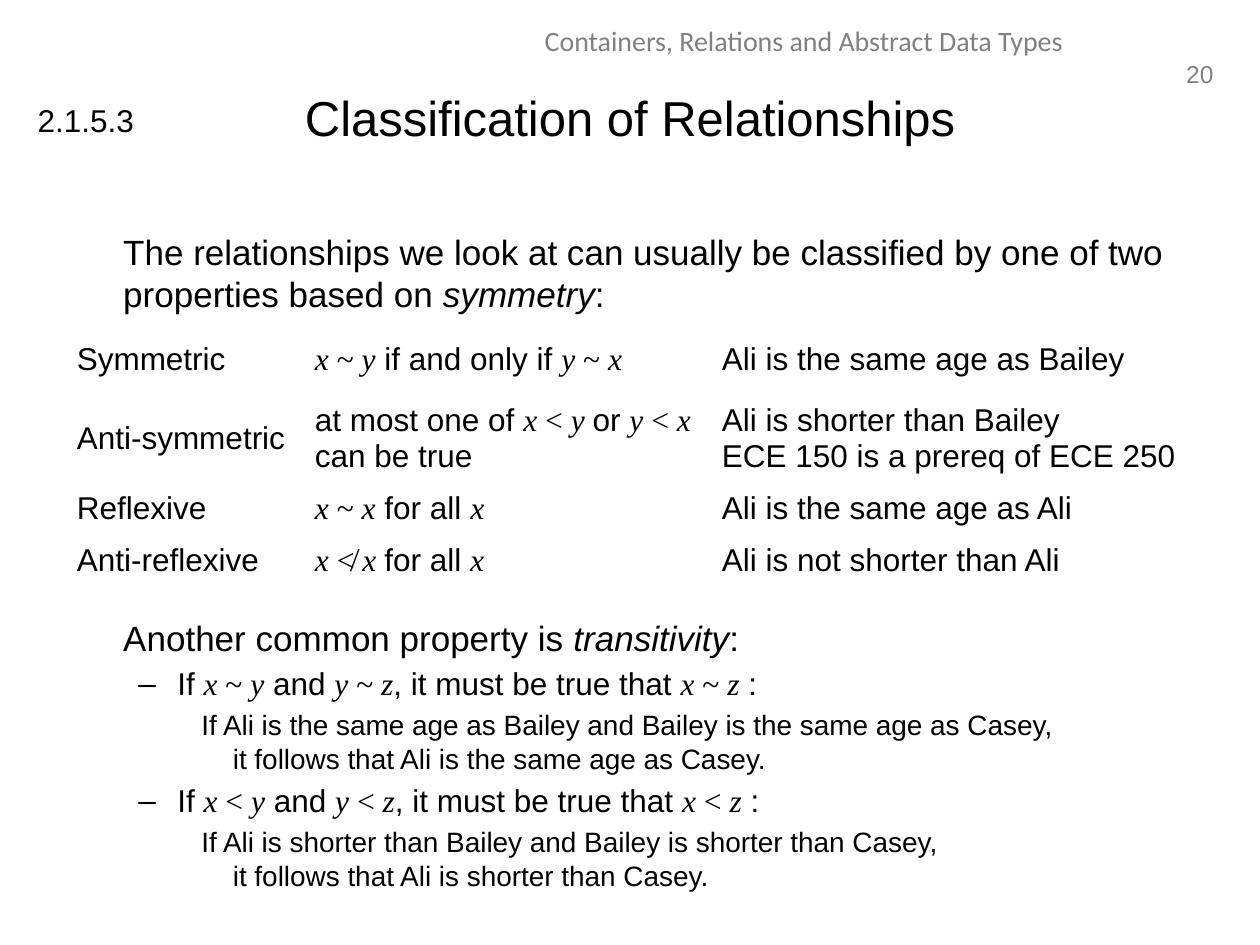
from dataclasses import dataclass
from itertools import groupby

from lxml.etree import SubElement
from pptx import Presentation
from pptx.dml.color import RGBColor
from pptx.enum.text import MSO_ANCHOR as Anchor, PP_ALIGN as Align
from pptx.oxml.ns import qn
from pptx.util import Inches, Pt

COLORS = {"text": "000000", "muted": "808080"}
BODY_FONT, MATH_FONT, HEADER_FONT = "Arial", "Times New Roman", "Calibri"


@dataclass
class Label:
    text: str
    left: float
    top: float
    width: float
    height: float
    size: int
    color: str = "text"
    font: str = BODY_FONT
    align: Align = Align.LEFT
    wrap: bool = True


@dataclass
class Level:
    size: int
    margin: float
    indent: float
    bullet: str = ""


STATEMENT = Level(20, 0.38, 0)
RULE = Level(18, 0.81, -0.31, "–")
EXAMPLE = Level(16, 1.25, -0.25)

LABELS = [
    Label("20", 9.29, 0.42, 0.44, 0.33, 14, "muted", align=Align.RIGHT, wrap=False),
    Label("Containers, Relations and Abstract Data Types", 3.19, 0.12, 6.38, 0.4,
          16, "muted", HEADER_FONT, Align.CENTER),
    Label("Classification of Relationships", 0.5, 0.3, 9, 1.25, 28, align=Align.CENTER),
    Label("2.1.5.3", 0.2, 0.75, 0.97, 0.4, 18, wrap=False),
]

SYMMETRY = [
    (STATEMENT, "The relationships we look at can usually be classified by one of two "
                "properties based on _symmetry_:"),
]
TRANSITIVITY = [
    (STATEMENT, "Another common property is _transitivity_:"),
    (RULE, "If $x ~ y$ and $y ~ z$, it must be true that $x ~ z$ :"),
    (EXAMPLE, "If Ali is the same age as Bailey and Bailey is the same age as Casey,\n"
              "it follows that Ali is the same age as Casey."),
    (RULE, "If $x < y$ and $y < z$, it must be true that $x < z$ :"),
    (EXAMPLE, "If Ali is shorter than Bailey and Bailey is shorter than Casey,\n"
              "it follows that Ali is shorter than Casey."),
]

COLUMN_WIDTHS = [1.89, 3.23, 3.9]
ROW_HEIGHTS = [0.55, 0.66, 0.41, 0.41]
PROPERTIES = [
    ("Symmetric", "$x ~ y$ if and only if $y ~ x$", "Ali is the same age as Bailey"),
    ("Anti-symmetric", "at most one of $x < y $or $y < x$ can be true",
     "Ali is shorter than Bailey\nECE 150 is a prereq of ECE 250"),
    ("Reflexive", "$x ~ x$ for all $x$", "Ali is the same age as Ali"),
    ("Anti-reflexive", "$x ≮ x $for all $x$", "Ali is not shorter than Ali"),
]


def add_run(paragraph, text: str, size: int, font: str, color: str, italic: bool) -> None:
    run = paragraph.add_run()
    run.text = text
    run.font.size = Pt(size)
    run.font.name = font
    run.font.italic = italic
    run.font.color.rgb = RGBColor.from_string(COLORS[color])


def add_text(paragraph, text: str, size: int, font: str = BODY_FONT, color: str = "text") -> None:
    for row, line in enumerate(text.split("\n")):
        if row:
            paragraph.add_line_break()
        for part, section in enumerate(line.split("$")):
            if part % 2:
                for is_variable, symbols in groupby(section, str.isalpha):
                    add_run(paragraph, "".join(symbols), size, MATH_FONT, color, is_variable)
            else:
                for index, phrase in enumerate(section.split("_")):
                    if phrase:
                        add_run(paragraph, phrase, size, font, color, index % 2 == 1)


def add_frame(slide, left: float, top: float, width: float, height: float):
    box = slide.shapes.add_textbox(Inches(left), Inches(top), Inches(width), Inches(height))
    box.text_frame.word_wrap = True
    return box.text_frame


def add_label(slide, label: Label) -> None:
    frame = add_frame(slide, label.left, label.top, label.width, label.height)
    frame.word_wrap = label.wrap
    frame.vertical_anchor = Anchor.MIDDLE
    paragraph = frame.paragraphs[0]
    paragraph.alignment = label.align
    add_text(paragraph, label.text, label.size, label.font, label.color)


def add_outline(slide, entries: list[tuple[Level, str]], top: float, height: float) -> None:
    frame = add_frame(slide, 0.5, top, 9, height)
    for index, (level, text) in enumerate(entries):
        paragraph = frame.add_paragraph() if index else frame.paragraphs[0]
        properties = paragraph._p.get_or_add_pPr()
        properties.set("marL", str(Inches(level.margin)))
        properties.set("indent", str(Inches(level.indent)))
        if level.bullet:
            SubElement(properties, qn("a:buFont"), typeface=BODY_FONT)
            SubElement(properties, qn("a:buChar"), char=level.bullet)
        if index:
            paragraph.space_before = Pt(round(level.size * 0.2, 1))
        add_text(paragraph, text, level.size)


def add_properties(slide, left: float, top: float) -> None:
    table = slide.shapes.add_table(
        len(ROW_HEIGHTS), len(COLUMN_WIDTHS), Inches(left), Inches(top),
        Inches(sum(COLUMN_WIDTHS)), Inches(sum(ROW_HEIGHTS))).table
    table.first_row = table.horz_banding = False
    for column, width in zip(table.columns, COLUMN_WIDTHS):
        column.width = Inches(width)
    for row, height, texts in zip(table.rows, ROW_HEIGHTS, PROPERTIES):
        row.height = Inches(height)
        for cell, text in zip(row.cells, texts):
            cell.fill.background()
            cell.vertical_anchor = Anchor.MIDDLE
            add_text(cell.text_frame.paragraphs[0], text, 18)


def main() -> None:
    presentation = Presentation()
    presentation.slide_width, presentation.slide_height = Inches(10), Inches(7.5)
    slide = presentation.slides.add_slide(presentation.slide_layouts[6])
    for label in LABELS:
        add_label(slide, label)
    add_outline(slide, SYMMETRY, 1.78, 0.75)
    add_properties(slide, 0.51, 2.58)
    add_outline(slide, TRANSITIVITY, 4.84, 2.3)
    presentation.save("out.pptx")


if __name__ == "__main__":
    main()
